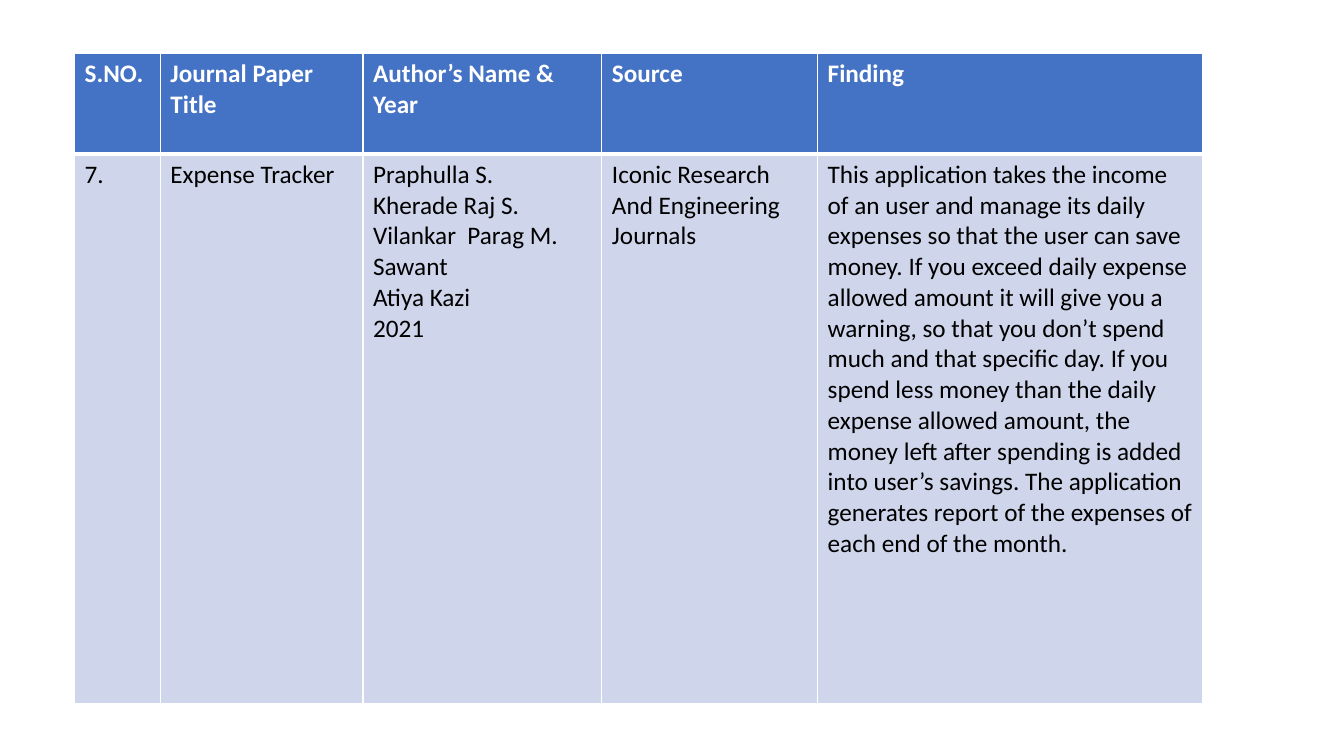
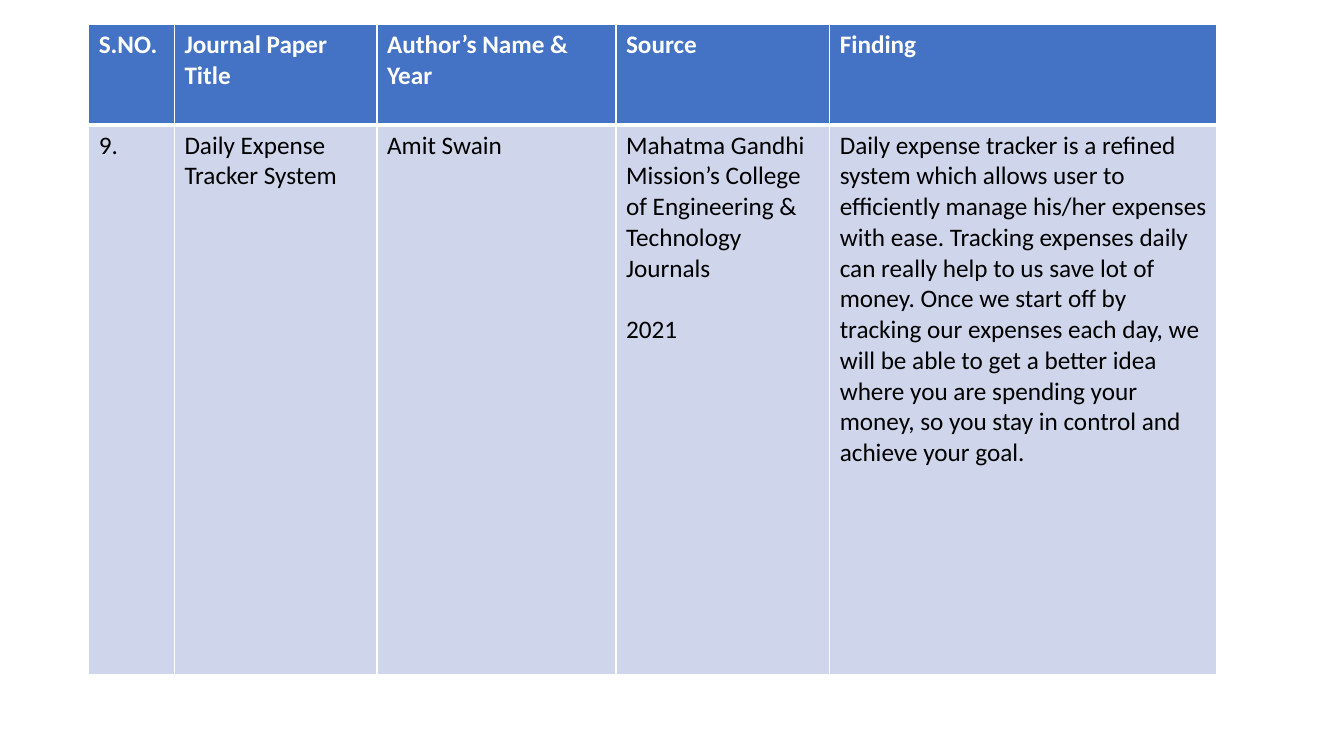
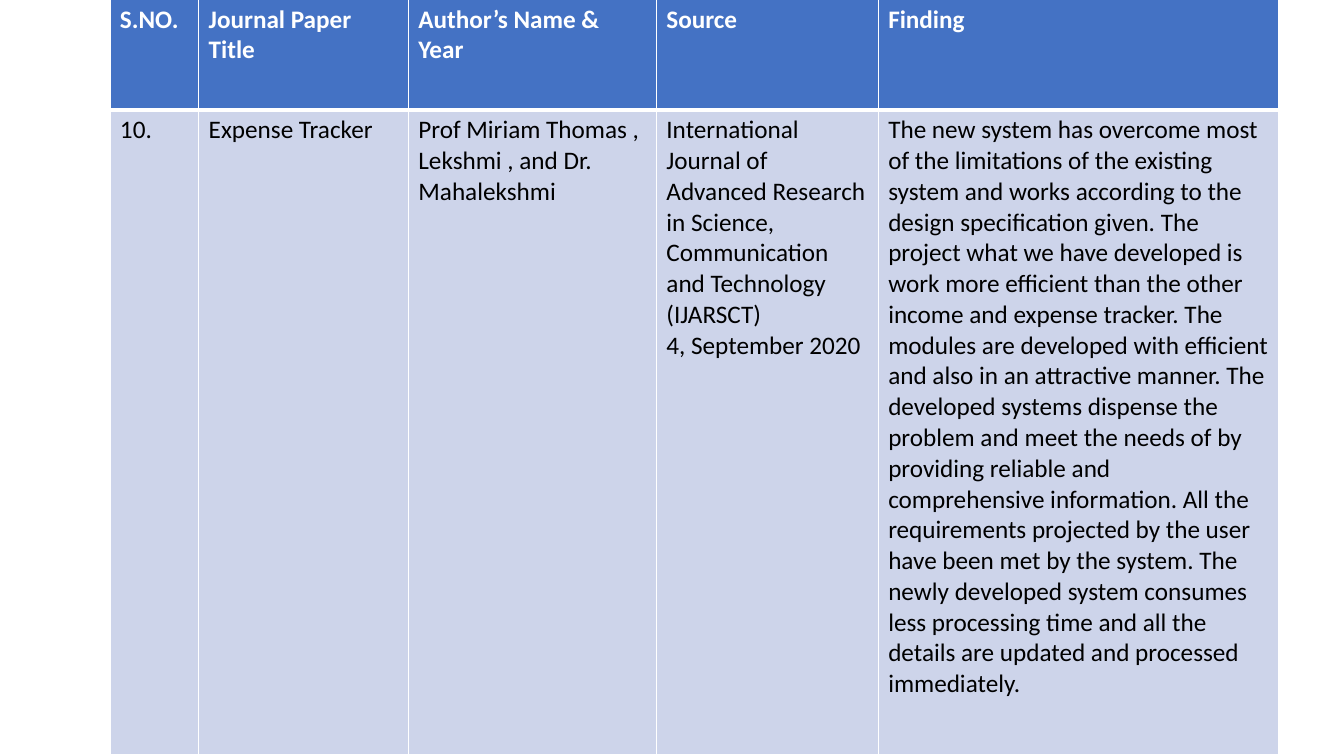
from dataclasses import dataclass

from lxml import etree
from pptx import Presentation
from pptx.dml.color import RGBColor
from pptx.oxml.ns import qn
from pptx.slide import Slide
from pptx.table import _Cell
from pptx.util import Inches, Pt

BLANK_LAYOUT = 6


@dataclass(frozen=True)
class Theme:
    font: str = "Calibri"
    text_size: float = 18
    gap_size: float = 22
    header_fill: str = "4472C4"
    header_text: str = "FFFFFF"
    body_text: str = "000000"
    border: str = "FFFFFF"
    thin_line: float = 1
    thick_line: float = 3


@dataclass(frozen=True)
class CellStyle:
    fill: str
    text: str
    bold: bool
    top_line: float
    bottom_line: float


@dataclass(frozen=True)
class PaperTable:
    left: float
    top: float
    column_widths: tuple[float, ...]
    row_heights: tuple[float, float]
    # One entry per column; each line of an entry is a paragraph,
    # and an empty line stands for a gap before the next paragraph.
    entries: tuple[str, ...]
    body_fill: str = "CFD5EA"


THEME = Theme()
HEADINGS = ("S.NO.", "Journal Paper Title", "Author’s Name & Year", "Source", "Finding")

PAPERS = (
    PaperTable(
        0.74, 0.53, (0.85, 2.01, 2.37, 2.14, 3.82), (1.0, 5.45),
        (
            "7.",
            "Expense Tracker",
            "Praphulla S.\nKherade Raj S.\nVilankar  Parag M. Sawant\nAtiya Kazi\n2021",
            "Iconic Research And Engineering Journals",
            "This application takes the income of an user and manage its daily expenses "
            "so that the user can save money. If you exceed daily expense allowed amount "
            "it will give you a warning, so that you don’t spend much and that specific "
            "day. If you spend less money than the daily expense allowed amount, the "
            "money left after spending is added into user’s savings. The application "
            "generates report of the expenses of each end of the month.",
        ),
    ),
    PaperTable(
        0.88, 0.24, (0.85, 2.01, 2.37, 2.12, 3.84), (1.0, 5.45),
        (
            "9.",
            "Daily Expense Tracker System",
            "Amit Swain",
            "Mahatma Gandhi Mission’s College of Engineering & Technology Journals\n\n2021",
            "Daily expense tracker is a refined system which allows user to efficiently "
            "manage his/her expenses\n"
            "with ease. Tracking expenses daily can really help to us save lot of money. "
            "Once we start off by\n"
            "tracking our expenses each day, we will be able to get a better idea where "
            "you are spending your\n"
            "money, so you stay in control and achieve your goal.",
        ),
    ),
    PaperTable(
        1.09, -0.01, (0.88, 2.08, 2.46, 2.2, 3.97), (1.1, 6.4),
        (
            "10.",
            "Expense Tracker",
            "Prof Miriam Thomas , Lekshmi , and Dr. Mahalekshmi",
            "International Journal of Advanced Research in Science, Communication and "
            "Technology (IJARSCT)\n4, September 2020",
            "The new system has overcome most of the limitations of the existing system "
            "and works according to the design specification given. The project what we "
            "have developed is work more efficient than the other income and expense "
            "tracker. The modules are developed with efficient and also in an attractive "
            "manner. The developed systems dispense the problem and meet the needs of by "
            "providing reliable and comprehensive information. All the requirements "
            "projected by the user have been met by the system. The newly developed "
            "system consumes less processing time and all the details are updated and "
            "processed immediately.",
        ),
        body_fill="CDD4EA",
    ),
)


def add_borders(cell: _Cell, style: CellStyle) -> None:
    properties = cell._tc.get_or_add_tcPr()
    widths = {
        "a:lnL": THEME.thin_line,
        "a:lnR": THEME.thin_line,
        "a:lnT": style.top_line,
        "a:lnB": style.bottom_line,
    }
    for tag, width in widths.items():
        line = etree.SubElement(properties, qn(tag), w=str(Pt(width)))
        fill = etree.SubElement(line, qn("a:solidFill"))
        etree.SubElement(fill, qn("a:srgbClr"), val=THEME.border)


def write_text(cell: _Cell, text: str, style: CellStyle) -> None:
    frame = cell.text_frame
    paragraph = frame.paragraphs[0]
    for index, block in enumerate(text.split("\n\n")):
        for position, line in enumerate(block.split("\n")):
            if index or position:
                paragraph = frame.add_paragraph()
            if index and not position:
                paragraph.space_before = Pt(THEME.gap_size)
            paragraph.text = line
            paragraph.font.name = THEME.font
            paragraph.font.size = Pt(THEME.text_size)
            paragraph.font.bold = style.bold
            paragraph.font.color.rgb = RGBColor.from_string(style.text)


def add_paper_table(slide: Slide, paper: PaperTable) -> None:
    styles = (
        CellStyle(THEME.header_fill, THEME.header_text, True, THEME.thin_line, THEME.thick_line),
        CellStyle(paper.body_fill, THEME.body_text, False, THEME.thick_line, THEME.thin_line),
    )
    table = slide.shapes.add_table(
        len(styles), len(HEADINGS), Inches(paper.left), Inches(paper.top),
        Inches(sum(paper.column_widths)), Inches(sum(paper.row_heights)),
    ).table

    # Grid
    for column, width in zip(table.columns, paper.column_widths):
        column.width = Inches(width)
    for row, height in zip(table.rows, paper.row_heights):
        row.height = Inches(height)

    # Heading row and paper row
    for row, texts, style in zip(table.rows, (HEADINGS, paper.entries), styles):
        for cell, text in zip(row.cells, texts):
            add_borders(cell, style)
            cell.fill.solid()
            cell.fill.fore_color.rgb = RGBColor.from_string(style.fill)
            write_text(cell, text, style)


def main() -> None:
    presentation = Presentation()
    presentation.slide_width = Inches(13.33)
    presentation.slide_height = Inches(7.5)
    for paper in PAPERS:
        slide = presentation.slides.add_slide(presentation.slide_layouts[BLANK_LAYOUT])
        add_paper_table(slide, paper)
    presentation.save("out.pptx")


main()
